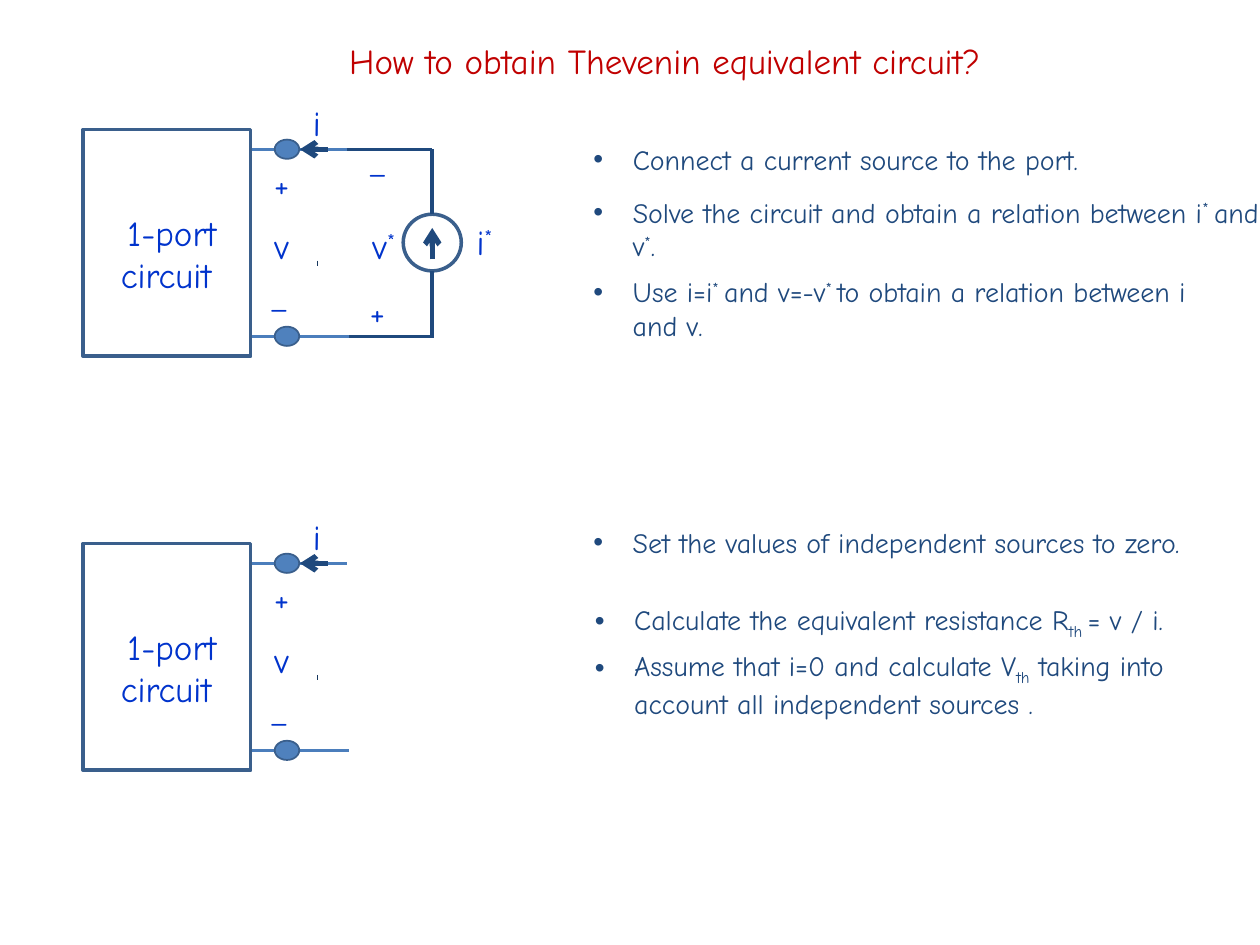
import pptx
import pptx.util
import pptx.dml.color
import pptx.enum.shapes
import pptx.enum.text
import pptx.oxml.ns
import lxml.etree

Pt = pptx.util.Pt
qn = pptx.oxml.ns.qn
FONT = "Comic Neue"
BLUE, NAVY, WIRE, EDGE, NODE = "0033CC", "1F497D", "4B7EBC", "3A5F8C", "4F81BD"
SUPER, SUB = 30, -25


def rgb(value):
    return pptx.dml.color.RGBColor.from_string(value)


class Board:
    """Draws styled elements on the current slide or group."""

    def __init__(self, slide):
        self.slide = slide
        self.shapes = slide.shapes

    def begin_group(self):
        self.shapes = self.slide.shapes.add_group_shape().shapes

    def end_group(self):
        self.shapes = self.slide.shapes

    def place(self, sp, left, top, width, height):
        sp.left, sp.top, sp.width, sp.height = Pt(left), Pt(top), Pt(width), Pt(height)

    def style(self, p, size, color):
        for r in p.runs:
            r.font.name = FONT
            r.font.size = Pt(size)
            r.font.color.rgb = rgb(color)

    def title(self, text, box):
        sp = self.slide.shapes.title
        self.place(sp, *box)
        tf = sp.text_frame
        tf.text = text
        tf.vertical_anchor = pptx.enum.text.MSO_ANCHOR.MIDDLE
        p = tf.paragraphs[0]
        p.alignment = pptx.enum.text.PP_ALIGN.CENTER
        self.style(p, 20, "C00000")

    def text_box(self, box):
        sp = self.shapes.add_textbox(*map(Pt, box))
        sp.text_frame.word_wrap = True
        return sp.text_frame

    def fill_runs(self, p, parts):
        for part in parts:
            text, base = part if isinstance(part, tuple) else (part, 0)
            r = p.add_run()
            r.text = text
            if base:
                r.font._element.set("baseline", str(base * 1000))

    def label(self, parts, left, top, width=42.5, height=31, size=20):
        tf = self.text_box((left, top, width, height))
        p = tf.paragraphs[0]
        self.fill_runs(p, parts)
        p.alignment = pptx.enum.text.PP_ALIGN.CENTER
        self.style(p, size, BLUE)

    def block_name(self, text, box):
        tf = self.text_box(box)
        tf.margin_top = Pt(27)
        tf.text = text
        for p in tf.paragraphs:
            p.alignment = pptx.enum.text.PP_ALIGN.CENTER
            self.style(p, 20, BLUE)

    def bullet(self, parts, box):
        p = self.text_box(box).paragraphs[0]
        self.fill_runs(p, parts)
        self.style(p, 16, NAVY)
        pPr = p._p.get_or_add_pPr()
        indent = Pt(22.5)
        pPr.set("marL", str(indent))
        pPr.set("indent", str(-indent))
        lxml.etree.SubElement(pPr, qn("a:buFont")).set("typeface", "Arial")
        lxml.etree.SubElement(pPr, qn("a:buChar")).set("char", "•")

    def shape(self, kind, box, fill=None, weight=2):
        sp = self.shapes.add_shape(kind, *map(Pt, box))
        sp.shadow.inherit = False
        if fill:
            sp.fill.solid()
            sp.fill.fore_color.rgb = rgb(fill)
        else:
            sp.fill.background()
        sp.line.color.rgb = rgb(EDGE)
        sp.line.width = Pt(weight)

    def line(self, x1, y1, x2, y2, color=NAVY, weight=2, arrow=False):
        kind = pptx.enum.shapes.MSO_CONNECTOR.STRAIGHT
        sp = self.shapes.add_connector(kind, Pt(x1), Pt(y1), Pt(x2), Pt(y2))
        sp.line.color.rgb = rgb(color)
        sp.line.width = Pt(weight)
        if arrow:
            ln = sp.line._get_or_add_ln()
            lxml.etree.SubElement(ln, qn("a:tailEnd")).set("type", "arrow")
        lxml.etree.SubElement(sp._element.spPr, qn("a:effectLst"))


RECT = pptx.enum.shapes.MSO_SHAPE.RECTANGLE
OVAL = pptx.enum.shapes.MSO_SHAPE.OVAL
TOP, BOTTOM = 85.3, 192.2


def draw_port(board, dy):
    board.begin_group()
    for y, end in ((BOTTOM, 199.5), (TOP, 198)):
        board.line(143.3, y + dy, end, y + dy, WIRE)
    for y in (TOP, BOTTOM):
        board.shape(OVAL, (157, y + dy - 5.5, 14, 11), NODE, 1)
    board.label(["+"], 139.7, 89.3 + dy, height=24.5)
    board.label(["_"], 138.2, 157.7 + dy, height=26.6, size=16)
    board.label(["v"], 139.7, 124.6 + dy)
    board.label(["i"], 159.8, 54.7 + dy)
    board.line(181.5, 149 + dy, 181.5, 151.8 + dy, "17375E", 0.75)
    board.shape(RECT, (47.5, 74 + dy, 95.8, 129.6))
    board.block_name("1-port\ncircuit ", (47.5, 93.6 + dy, 101.5, 80))
    board.line(187.2, TOP + dy, 171.4, TOP + dy, weight=3, arrow=True)
    board.end_group()


def draw_source(board):
    x = 247
    board.shape(OVAL, (230.4, 122.4, 33.2, 32.4))
    board.line(x, 148.3, x, 130.3, weight=3, arrow=True)
    for ends in ((x, 122.4, x, TOP), (x, BOTTOM, x, 154.8),
                 (198, TOP, x, TOP), (199.5, BOTTOM, x + 1, BOTTOM)):
        board.line(*ends)
    board.label(["i", ("*", SUPER)], 252, 122.4, 49.7, 31.7)
    board.label(["v", ("*", SUPER)], 198, 124.6, height=31.7)
    board.label(["+"], 194.4, 162.7, height=24.5)
    board.label(["_"], 194.4, 80.6, height=26.6, size=16)


STAR = ("* ", SUPER)
BULLETS = [
    (["Connect a current source to the port."], (332, 77.8, 400, 26.6)),
    (["Solve the circuit and obtain a relation between i", STAR, "and v",
      ("*", SUPER), "."], (332, 108, 400, 46)),
    (["Use i=i", STAR, "and v=-v", STAR,
      "to obtain a relation between i and v."], (332, 153.4, 363, 46)),
    (["Set the values of independent sources to zero."], (332, 296.6, 374.4, 46)),
    (["Calculate the equivalent resistance R", ("th ", SUB), "= v / i."],
     (332.8, 340.6, 399.6, 26.6)),
    (["Assume that i=0 and calculate V", ("th", SUB),
      " taking into account all independent sources ."], (332.8, 367.2, 387.4, 46)),
]

prs = pptx.Presentation()
prs.slide_width, prs.slide_height = Pt(720), Pt(540)
s = prs.slides.add_slide(prs.slide_layouts[5])
board = Board(s)
board.title("How to obtain Thevenin equivalent circuit?", (162, 18.7, 436, 31.7))
for dy in (0, 236.6):
    draw_port(board, dy)
draw_source(board)
for parts, box in BULLETS:
    board.bullet(parts, box)
prs.save("out.pptx")
